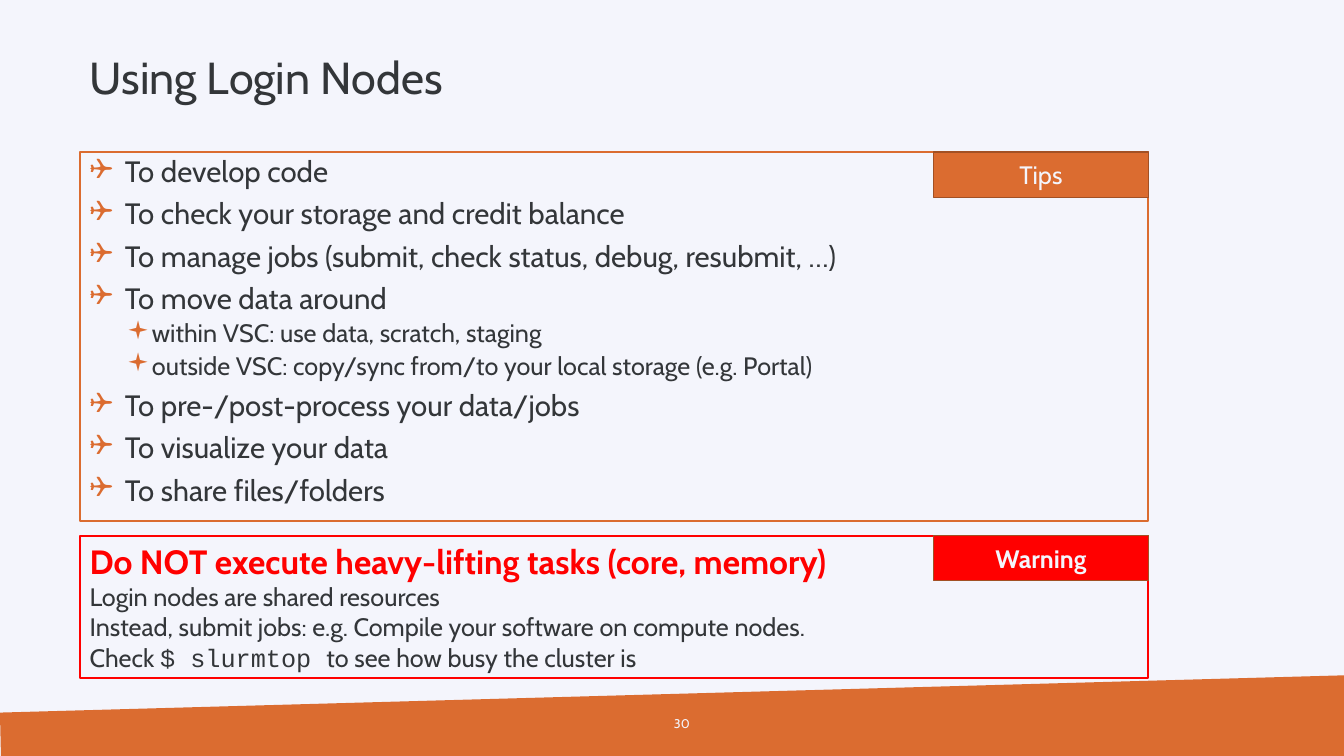
from pptx import Presentation, util as u
from pptx.dml.color import RGBColor
from pptx.enum import shapes, text
from pptx.oxml.ns import qn
from lxml import etree

# Content
TITLE = "Using Login Nodes"
PAGE = "30"
TIPS = [  # (level, text)
    (0, "To develop code"),
    (0, "To check your storage and credit balance"),
    (0, "To manage jobs (submit, check status, debug, resubmit, …)"),
    (0, "To move data around"),
    (1, "within VSC: use data, scratch, staging"),
    (1, "outside VSC: copy/sync from/to your local storage (e.g. Portal)"),
    (0, "To pre-/post-process your data/jobs"),
    (0, "To visualize your data"),
    (0, "To share files/folders"),
]
WARNING_HEAD = "Do NOT execute heavy-lifting tasks (core, memory)"
WARNING_LINES = [
    ["Login nodes are shared resources"],
    ["Instead, submit jobs: e.g. Compile your software on compute nodes.\nCheck ",
     "$ slurmtop ", "to see how busy the cluster is"],
]

# Style
COLORS = {"paper": "F4F5FC", "ink": "333639", "accent": "DB6C30",
          "edge": "A25024", "alert": "FF0000"}
BODY, MONO = "Cabin", "Courier New"
LEVELS = [  # bullet, size, left, hanging, space before
    ("❑", 21, 0.35, 0.35, 7.5),
    ("▪", 18, 0.56, 0.19, 3.8),
]

# Layout in inches
W, H = 13.33, 7.5
LEFT, PANEL_W = 0.79, 10.6
TAB_W, TAB_H = 2.13, 0.45
TAB_X = LEFT + PANEL_W - TAB_W
TIPS_Y, TIPS_H = 1.51, 3.66
WARN_Y, WARN_H = 5.32, 1.41

prs = Presentation()
prs.slide_width, prs.slide_height = u.Inches(W), u.Inches(H)
s = prs.slides.add_slide(prs.slide_layouts[6])


def rgb(name):
    return RGBColor.from_string(COLORS[name])


def paint(sp, fill=None, line=None, width=1):
    sp.shadow.inherit = False
    if fill:
        sp.fill.solid()
        sp.fill.fore_color.rgb = rgb(fill)
    else:
        sp.fill.background()
    if line:
        sp.line.color.rgb = rgb(line)
        sp.line.width = u.Pt(width)
    else:
        sp.line.fill.background()


def frame(sp, anchor=text.MSO_ANCHOR.MIDDLE):
    tf = sp.text_frame
    tf.word_wrap = True
    tf.vertical_anchor = anchor
    return tf


def paragraph(tf, align=text.PP_ALIGN.LEFT):
    p = tf.paragraphs[0] if not tf.paragraphs[0].runs else tf.add_paragraph()
    p.alignment = align
    return p


def add_run(p, words, size, color="ink", font=BODY, bold=False):
    for i, line in enumerate(words.split("\n")):
        if i:
            p.add_line_break()
        r = p.add_run()
        r.text = line
        r.font.size, r.font.name, r.font.bold = u.Pt(size), font, bold
        r.font.color.rgb = rgb(color)


def rect(x, y, w, h, **style):
    sp = s.shapes.add_shape(shapes.MSO_SHAPE.RECTANGLE,
                            *map(u.Inches, (x, y, w, h)))
    paint(sp, **style)
    return sp


def panel(y, h, color):
    sp = rect(LEFT, y, PANEL_W, h, line=color, width=1.5)
    return frame(sp, text.MSO_ANCHOR.TOP)


def tab(y, label, color, bold=False):
    tf = frame(rect(TAB_X, y, TAB_W, TAB_H, fill=color, line="edge"))
    add_run(paragraph(tf, text.PP_ALIGN.CENTER), label, 18, "paper", bold=bold)


def label(x, y, w, h, words, size, color, align=text.PP_ALIGN.LEFT):
    tf = frame(s.shapes.add_textbox(*map(u.Inches, (x, y, w, h))))
    p = paragraph(tf, align)
    add_run(p, words, size, color)
    return p


def add_bullet(p, char, left, hanging):
    pPr = p._p.get_or_add_pPr()
    pPr.set("marL", str(u.Inches(left)))
    pPr.set("indent", str(-u.Inches(hanging)))
    color = etree.SubElement(pPr, qn("a:buClr"))
    etree.SubElement(color, qn("a:srgbClr"), val=COLORS["accent"])
    etree.SubElement(pPr, qn("a:buFont"), typeface="Wingdings")
    etree.SubElement(pPr, qn("a:buChar"), char=char)


# Background and slanted footer
s.background.fill.solid()
s.background.fill.fore_color.rgb = rgb("paper")
fb = s.shapes.build_freeform(0, u.Inches(7.07))
fb.add_line_segments([(u.Inches(x), u.Inches(y)) for x, y in
                      ((W, 6.7), (W, H), (0.01, H))], close=True)
paint(fb.convert_to_shape(), fill="accent")

# Warning panel
tf = panel(WARN_Y, WARN_H, "alert")
add_run(paragraph(tf), WARNING_HEAD, 24, "alert", bold=True)
for parts in WARNING_LINES:
    p = paragraph(tf)
    for part in parts:
        add_run(p, part, 18, font=MONO if part.startswith("$") else BODY)
tab(WARN_Y - 0.01, "Warning", "alert", bold=True)

# Tips panel
tf = panel(TIPS_Y, TIPS_H, "accent")
for i, (level, tip) in enumerate(TIPS):
    char, size, left, hanging, before = LEVELS[level]
    p = paragraph(tf)
    p.level = level
    p.line_spacing = 0.9
    p.space_before = u.Pt(before if i else 0)
    add_bullet(p, char, left, hanging)
    add_run(p, tip, size)
tab(TIPS_Y, "Tips", "accent")

# Page number and title
label(6.39, 6.98, 0.55, 0.4, PAGE, 9, "paper", text.PP_ALIGN.RIGHT)
label(LEFT, 0.36, 12.15, 0.87, TITLE, 32, "ink").line_spacing = 0.9

prs.save("out.pptx")
